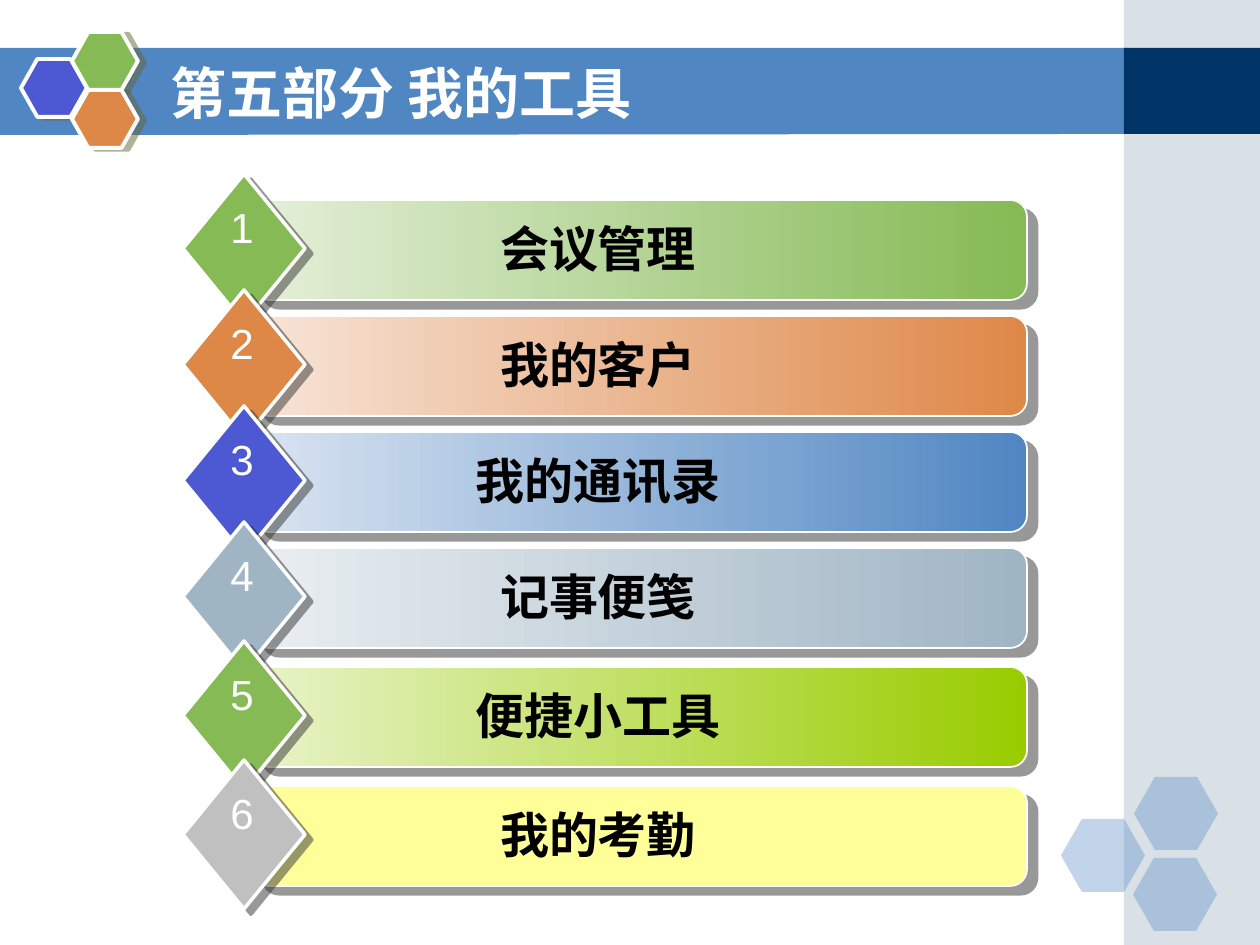
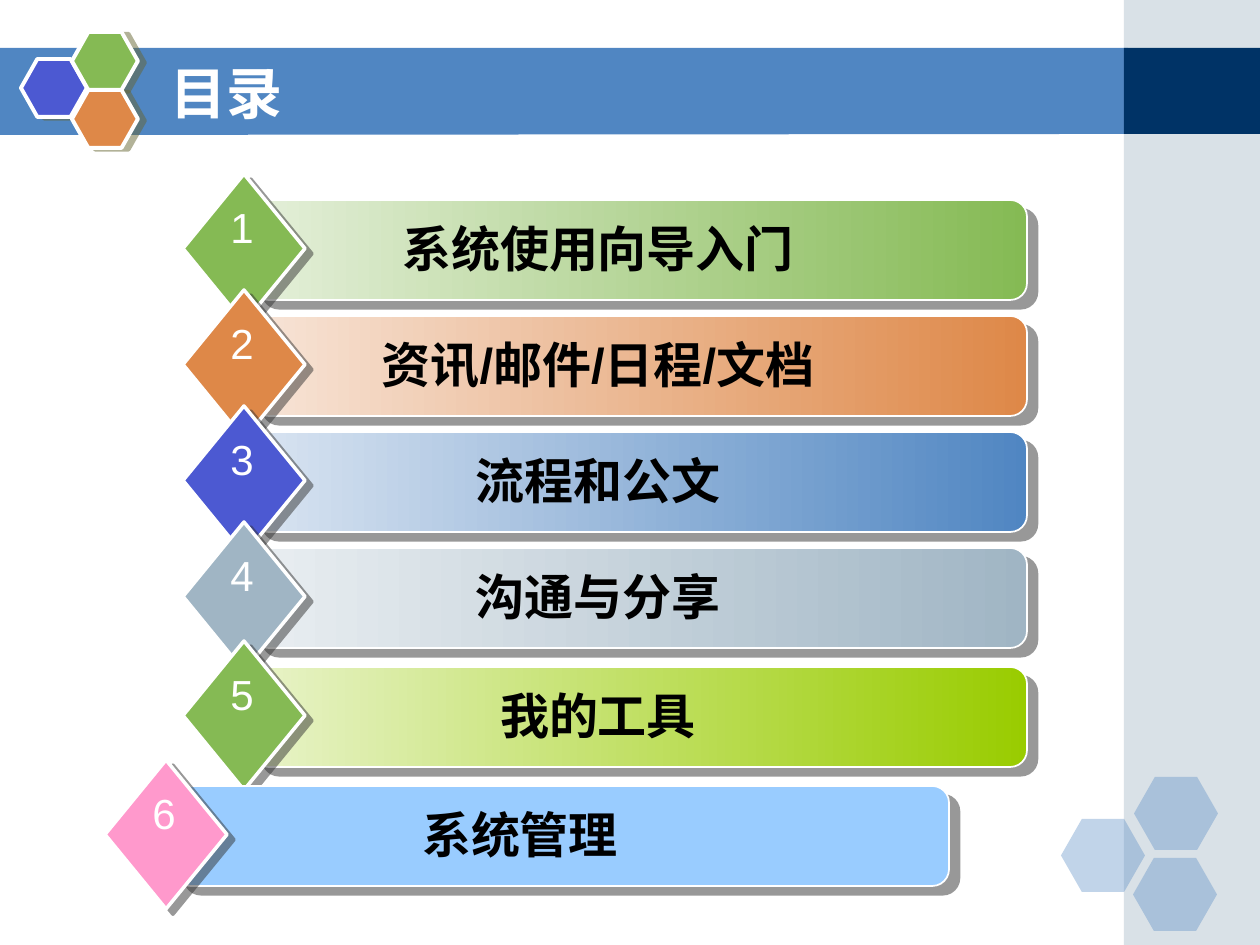
from pptx import Presentation
from pptx.dml.color import RGBColor
from pptx.enum.shapes import MSO_SHAPE
from pptx.enum.text import MSO_ANCHOR, MSO_AUTO_SIZE, PP_ALIGN
from pptx.oxml.ns import qn
from pptx.util import Emu, Pt
from lxml import etree

RECTANGLE = MSO_SHAPE.RECTANGLE
ROUNDED = MSO_SHAPE.ROUNDED_RECTANGLE
HEXAGON = MSO_SHAPE.HEXAGON
DIAMOND = MSO_SHAPE.DIAMOND
LEFT, CENTER = PP_ALIGN.LEFT, PP_ALIGN.CENTER

EMU_PER_PX = 914400 / 126
SLIDE_WIDTH, SLIDE_HEIGHT = 1260, 945
TITLE_ONLY = 5

COLORS = {
    "white": "FFFFFF", "black": "000000", "navy": "003366",
    "blue": "5086C2", "pale blue": "D9E4F1", "indigo": "4C59D2",
    "green": "85BA54", "pale green": "E4EFD9",
    "orange": "DE8848", "pale orange": "F7E4D7",
    "slate": "A0B5C4", "pale slate": "E9EEF1",
    "lime": "99CC00", "pale lime": "E8F3C8",
    "yellow": "FFFF99", "silver": "C0C0C0", "sky": "99CCFF", "pink": "FF99CC",
    "shadow": "333333", "olive shadow": "666633",
}

# Shadows: colour, distance in points, angle in degrees
LOGO_SHADOW = ("olive shadow", 4.1, 14)
BAR_SHADOW = ("shadow", 7.8, 40)
DIAMOND_SHADOW = ("shadow", 5, 37)

# Agenda rows: left edge, first top, step, and the wider step after row four
ROW_LEFT, FIRST_ROW_TOP, ROW_STEP, WIDE_STEP = 183, 174, 116, 119
NARROW_ROWS = 4

# Row styles: diamond colour, bar colours from right to left
ROW_STYLES = [
    ("green", ("green", "pale green")),
    ("orange", ("orange", "pale orange")),
    ("indigo", ("blue", "pale blue")),
    ("slate", ("slate", "pale slate")),
    ("green", ("lime", "pale lime")),
]

AGENDAS = [
    {
        "title": "第五部分 我的工具",
        "labels": ["会议管理", "我的客户", "我的通讯录", "记事便笺", "便捷小工具", "我的考勤"],
        "last style": ("silver", ("yellow",)),
        "last left": ROW_LEFT,
    },
    {
        "title": "目录",
        "labels": ["系统使用向导入门", "资讯/邮件/日程/文档", "流程和公文", "沟通与分享",
                   "我的工具", "系统管理"],
        "last style": ("pink", ("sky",)),
        "last left": 105,
    },
]


def px(length):
    return Emu(round(length * EMU_PER_PX))


def rgb(name):
    return RGBColor.from_string(COLORS[name])


def set_alpha(color_element, percent):
    alpha = etree.SubElement(color_element, qn("a:alpha"))
    alpha.set("val", str(percent * 1000))


def add_shadow(shape, color, distance, angle):
    effects = shape.element.spPr.find(qn("a:effectLst"))
    shadow = etree.SubElement(effects, qn("a:outerShdw"), dist=str(Pt(distance)),
                              dir=str(angle * 60000), algn="ctr", rotWithShape="0")
    color_element = etree.SubElement(shadow, qn("a:srgbClr"), val=COLORS[color])
    set_alpha(color_element, 50)


def paint(shape, colors, line_width=None, shadow=None, opacity=None):
    """Fill with one colour or a right-to-left gradient of two."""
    shape.shadow.inherit = False
    if len(colors) == 1:
        shape.fill.solid()
        shape.fill.fore_color.rgb = rgb(colors[0])
    else:
        shape.fill.gradient()
        shape.fill.gradient_angle = 180
        for stop, color, position in zip(shape.fill.gradient_stops, colors, (0, 1)):
            stop.color.rgb = rgb(color)
            stop.position = position
    if opacity:
        set_alpha(shape.element.spPr.find(".//" + qn("a:srgbClr")), opacity)
    if line_width:
        shape.line.color.rgb = rgb("white")
        shape.line.width = Pt(line_width)
    else:
        shape.line.fill.background()
    if shadow:
        add_shadow(shape, *shadow)


def add_preset(slide, kind, box, colors, adjustment=None, **style):
    shape = slide.shapes.add_shape(kind, *map(px, box))
    if adjustment:
        shape.adjustments[0] = adjustment
    paint(shape, colors, **style)


def write(frame, text, size, color, font="Arial", bold=False, align=CENTER):
    paragraph = frame.paragraphs[0]
    paragraph.alignment = align
    run = paragraph.add_run()
    run.text = text
    run.font.name = font
    run.font.size = Pt(size)
    run.font.bold = bold
    run.font.color.rgb = rgb(color)


def add_label(slide, box, text, size, color, bold=False, wrap=True):
    frame = slide.shapes.add_textbox(*map(px, box)).text_frame
    frame.word_wrap = wrap
    frame.auto_size = MSO_AUTO_SIZE.SHAPE_TO_FIT_TEXT
    write(frame, text, size, color, bold=bold)


def add_title_band(slide, left, top, width, height):
    builder = slide.shapes.build_freeform(left, top, scale=EMU_PER_PX)
    right = left + width
    builder.add_line_segments(
        [(right, top), (right, top + height - 1), (left, top + height)], close=True)
    paint(builder.convert_to_shape(), ("blue",))


def add_side_column(slide, left, width):
    add_preset(slide, RECTANGLE, (left, 0, width, SLIDE_HEIGHT), ("slate",), opacity=40)
    add_preset(slide, RECTANGLE, (left, 48, width, 86), ("navy",))


def add_faded_hexagons(slide, left, top):
    for x, y in [(0, 42), (73, 0), (72, 81)]:
        add_preset(slide, HEXAGON, (left + x, top + y, 84, 73), ("blue",),
                   adjustment=0.286, opacity=35)


def add_title_hexagons(slide, left, top):
    for x, y, color in [(0, 27, "indigo"), (51, 0, "green"), (51, 58, "orange")]:
        add_preset(slide, HEXAGON, (left + x, top + y, 66, 58), (color,),
                   adjustment=0.283, line_width=2.25, shadow=LOGO_SHADOW)


def decorate_layout(layout, slide):
    """Draw the shared parts, then move them from the slide to its layout."""
    add_title_band(slide, 0, 48, 1128, 87)
    add_side_column(slide, 1124, 136)
    add_faded_hexagons(slide, 1061, 777)
    add_title_hexagons(slide, 21, 32)
    parts = [shape for shape in slide.shapes if not shape.is_placeholder]
    for index, shape in enumerate(parts):
        shape.element.find(".//" + qn("p:cNvPr")).set("id", str(100 + index))
        layout.shapes.element.insert(2 + index, shape.element)


def place_layout_title(layout):
    for placeholder in layout.placeholders:
        if placeholder.placeholder_format.idx == 0:
            placeholder.left, placeholder.top = px(158), px(53)
            placeholder.width, placeholder.height = px(924), px(78)


def fill_title(slide, text):
    frame = slide.shapes.title.text_frame
    frame.vertical_anchor = MSO_ANCHOR.MIDDLE
    frame.auto_size = MSO_AUTO_SIZE.NONE
    write(frame, text, 32, "white", font="DejaVu Sans", bold=True, align=LEFT)


def add_agenda_row(slide, left, top, number, label, style):
    diamond_color, bar_colors = style
    add_preset(slide, ROUNDED, (left + 69, top + 26, 775, 100), bar_colors,
               adjustment=0.167, line_width=1, shadow=BAR_SHADOW)
    add_preset(slide, DIAMOND, (left, top, 122, 149), (diamond_color,),
               line_width=2, shadow=DIAMOND_SHADOW)
    add_label(slide, (left + 109, top + 38, 612, 72), label, 28, "black", bold=True)
    add_label(slide, (left + 35, top + 21, 48, 63), str(number), 24, "white", wrap=False)


def add_agenda(slide, agenda):
    fill_title(slide, agenda["title"])
    styles = ROW_STYLES + [agenda["last style"]]
    lefts = [ROW_LEFT] * len(ROW_STYLES) + [agenda["last left"]]
    top = FIRST_ROW_TOP
    for number, (left, label, style) in enumerate(zip(lefts, agenda["labels"], styles), 1):
        add_agenda_row(slide, left, top, number, label, style)
        top += ROW_STEP if number < NARROW_ROWS else WIDE_STEP


def main():
    presentation = Presentation()
    presentation.slide_width = px(SLIDE_WIDTH)
    presentation.slide_height = px(SLIDE_HEIGHT)
    layout = presentation.slide_layouts[TITLE_ONLY]
    place_layout_title(layout)
    slides = [presentation.slides.add_slide(layout) for _ in AGENDAS]
    decorate_layout(layout, slides[0])
    for slide, agenda in zip(slides, AGENDAS):
        add_agenda(slide, agenda)
    presentation.save("out.pptx")


if __name__ == "__main__":
    main()
